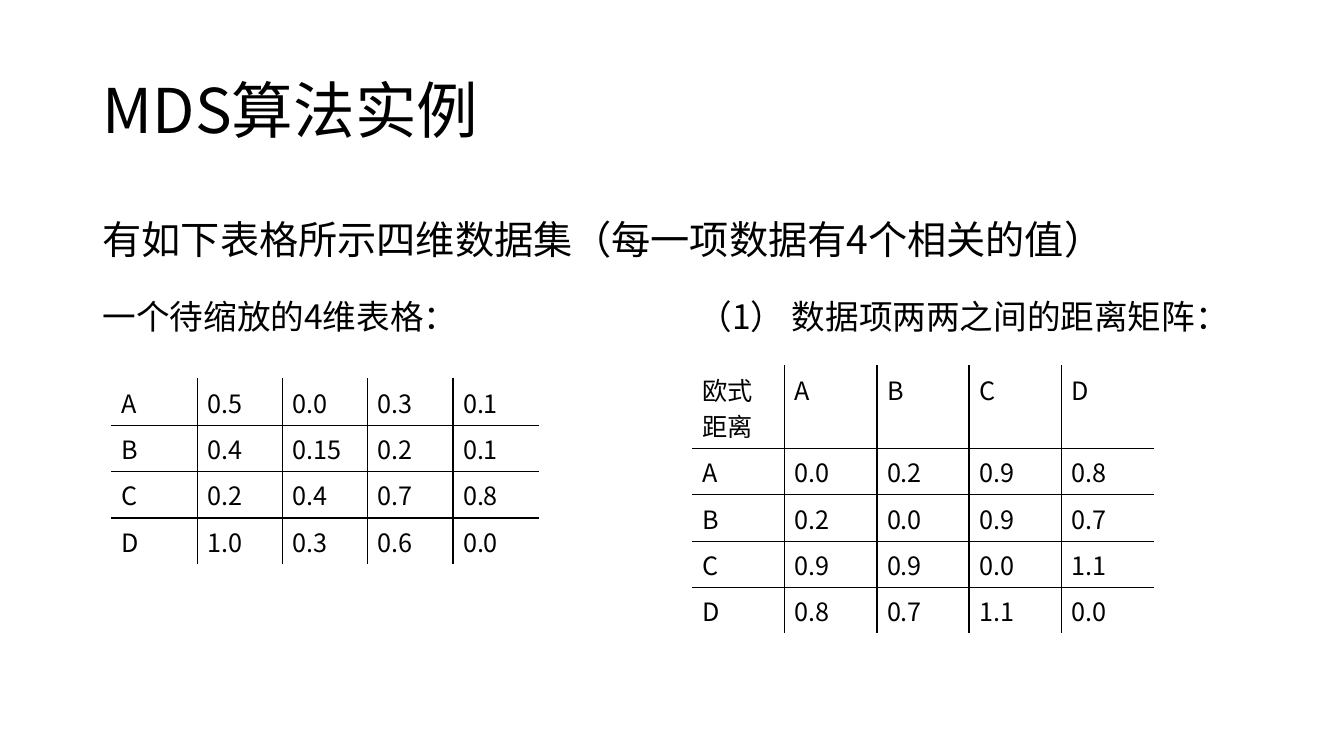
from lxml import etree
from pptx import Presentation
from pptx import util as u
from pptx.dml.color import RGBColor
from pptx.enum import text
from pptx.oxml import ns

INK = {"text": "000000", "rule": "000000"}


class Deck:
    """Style and current slide, with a method for each kind of element."""

    def __init__(self, face):
        self.face = face
        self.prs = Presentation()
        self.prs.slide_width = u.Inches(13.33)
        self.prs.slide_height = u.Inches(7.5)
        self.slide = self.prs.slides.add_slide(self.prs.slide_layouts[6])

    def run(self, para, words, size):
        run = para.add_run()
        run.text = words
        run.font.size = u.Pt(size)
        run.font.name = self.face
        run.font.color.rgb = RGBColor.from_string(INK["text"])
        east = etree.SubElement(run.font._element, ns.qn("a:ea"))
        east.set("typeface", self.face)

    def tab(self, para, pos):
        stops = etree.SubElement(para._p.get_or_add_pPr(), ns.qn("a:tabLst"))
        etree.SubElement(stops, ns.qn("a:tab"), pos=str(u.Inches(pos)), algn="l")

    def box(self, area, lines, lead, gap=0, stop=None, mid=False):
        shape = self.slide.shapes.add_textbox(*map(u.Inches, area))
        frame = shape.text_frame
        frame.word_wrap = True
        frame.margin_right = 0
        frame.vertical_anchor = text.MSO_ANCHOR.MIDDLE if mid else text.MSO_ANCHOR.TOP
        for i, (words, size) in enumerate(lines):
            para = frame.paragraphs[0] if i == 0 else frame.add_paragraph()
            if stop and "\t" in words:
                self.tab(para, stop)
            para.line_spacing = lead
            para.space_before = u.Pt(gap if i else 0)
            self.run(para, words, size)

    def edge(self, cell, side):
        line = etree.SubElement(cell._tc.get_or_add_tcPr(), ns.qn("a:ln" + side))
        line.set("w", str(u.Pt(1)))
        fill = etree.SubElement(line, ns.qn("a:solidFill"))
        etree.SubElement(fill, ns.qn("a:srgbClr"), val=INK["rule"])

    def grid(self, left, top, wide, head, high, rows):
        tall, span = len(rows), len(rows[0])
        area = map(u.Inches, (left, top, wide, head + high * (tall - 1)))
        table = self.slide.shapes.add_table(tall, span, *area).table
        table.first_row = table.horz_banding = False
        for r, row in enumerate(rows):
            table.rows[r].height = u.Inches(high if r else head)
            for c, words in enumerate(row):
                cell = table.cell(r, c)
                inner = {"L": c > 0, "R": c < span - 1, "T": r > 0, "B": r < tall - 1}
                for side, shown in inner.items():
                    if shown:
                        self.edge(cell, side)
                cell.fill.background()
                frame = cell.text_frame
                for i, part in enumerate(words.split("\n")):
                    para = frame.paragraphs[0] if i == 0 else frame.add_paragraph()
                    self.run(para, part, 18)
        for col in table.columns:
            col.width = u.Inches(wide / span)


def main():
    deck = Deck("Noto Sans CJK SC")
    deck.box((0.92, 0.4, 11.5, 1.45), [("MDS算法实例", 44)], 0.9, mid=True)
    deck.box((0.92, 1.85, 11.5, 4.76), [
        ("有如下表格所示四维数据集（每一项数据有4个相关的值）", 28),
        ("一个待缩放的4维表格：\t（1） 数据项两两之间的距离矩阵：", 24),
    ], 1.5, gap=10, stop=5.91)
    deck.grid(1.11, 3.76, 4.23, 0.46, 0.46, [
        ["A", "0.5", "0.0", "0.3", "0.1"],
        ["B", "0.4", "0.15", "0.2", "0.1"],
        ["C", "0.2", "0.4", "0.7", "0.8"],
        ["D", "1.0", "0.3", "0.6", "0.0"],
    ])
    deck.grid(6.87, 3.63, 4.57, 0.82, 0.46, [
        ["欧式\n距离", "A", "B", "C", "D"],
        ["A", "0.0", "0.2", "0.9", "0.8"],
        ["B", "0.2", "0.0", "0.9", "0.7"],
        ["C", "0.9", "0.9", "0.0", "1.1"],
        ["D", "0.8", "0.7", "1.1", "0.0"],
    ])
    deck.prs.save("out.pptx")


if __name__ == "__main__":
    main()
